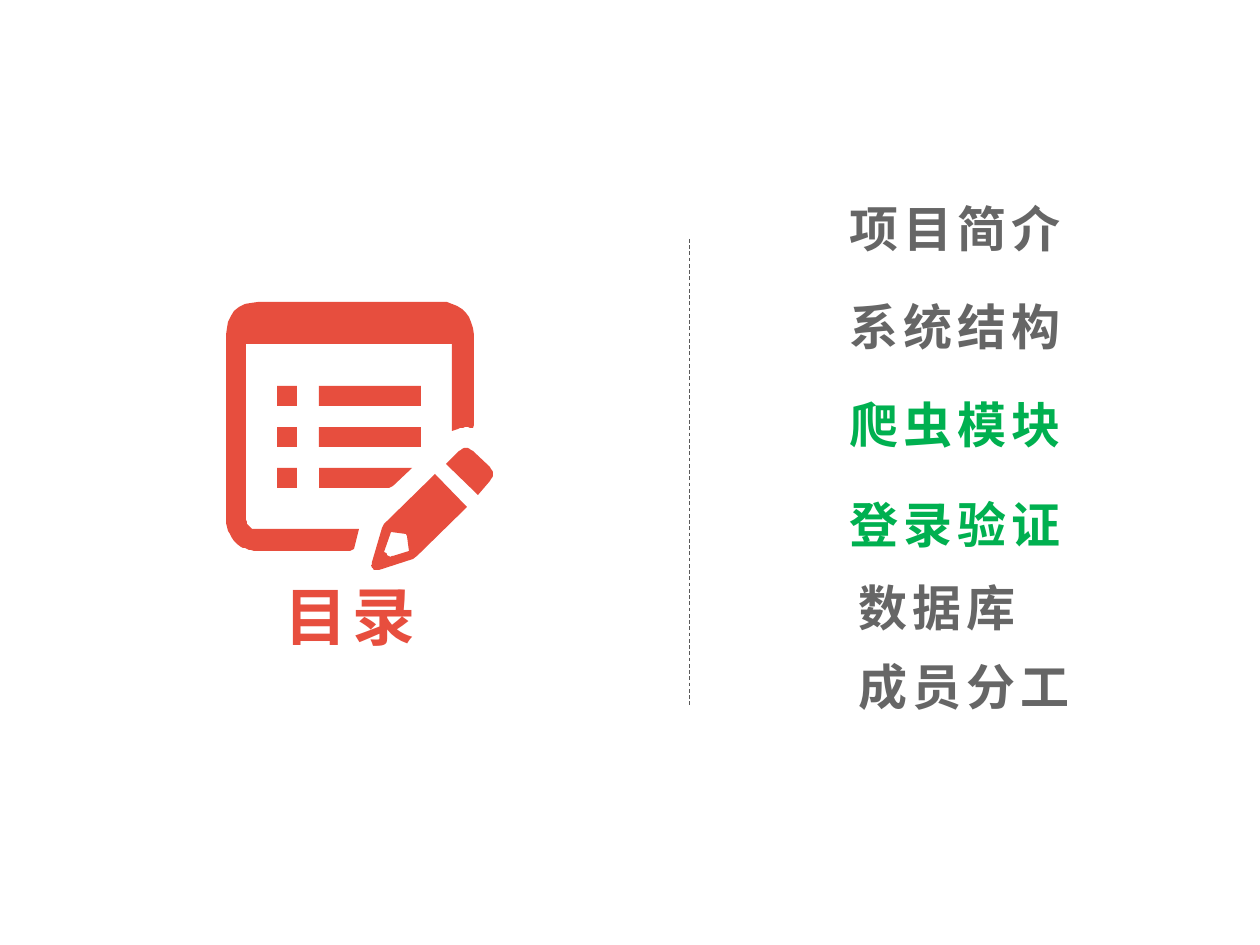
"""Build the table-of-contents slide with a notepad icon and six topics."""
from lxml.etree import SubElement
from pptx import Presentation
from pptx.dml.color import RGBColor
from pptx.enum.dml import MSO_LINE
from pptx.enum.shapes import MSO_CONNECTOR, MSO_SHAPE
from pptx.enum.text import MSO_AUTO_SIZE, PP_ALIGN
from pptx.oxml.ns import qn
from pptx.util import Pt

PX = 914400 / 126
FONT = "Noto Sans CJK SC"
RED = RGBColor(0xE7, 0x4E, 0x3E)
GRAY = RGBColor(0x66, 0x66, 0x66)
GREEN = RGBColor(0x00, 0xB0, 0x50)
DARK = RGBColor(0x59, 0x59, 0x59)
CURVE_STEPS = 8


def emu(*lengths):
    return [round(length * PX) for length in lengths]


def flatten(contour):
    """Turn points (x, y) and cubic curves (x1, y1, x2, y2, x, y) into points."""
    points = []
    for step in contour:
        if len(step) == 2:
            points.append(step)
            continue
        x0, y0 = points[-1]
        x1, y1, x2, y2, x3, y3 = step
        for index in range(1, CURVE_STEPS + 1):
            t = index / CURVE_STEPS
            a, b, c, d = (1 - t) ** 3, 3 * t * (1 - t) ** 2, 3 * t * t * (1 - t), t ** 3
            points.append((a * x0 + b * x1 + c * x2 + d * x3,
                           a * y0 + b * y1 + c * y2 + d * y3))
    return points


deck = Presentation()
deck.slide_width, deck.slide_height = emu(1260, 945)
page = deck.slides.add_slide(deck.slide_layouts[6])

divider = page.shapes.add_connector(MSO_CONNECTOR.STRAIGHT, *emu(689, 239, 689, 705))
divider.line.color.rgb = DARK
divider.line.width = Pt(0.5)
divider.line.dash_style = MSO_LINE.DASH
SubElement(divider._element.spPr, qn("a:effectLst"))

frame = [(359, 529), (354, 549), (350, 551), (258, 551),
         (252, 551, 246, 549, 241, 547), (231, 540, 226, 530, 226, 519),
         (226, 335), (226, 316, 238, 302, 258, 302), (441, 302),
         (457, 302, 470, 312, 473, 328), (474, 335), (474, 425), (473, 428),
         (466, 427, 460, 427, 452, 431), (452, 344), (246, 344), (246, 517),
         (246, 524, 249, 530, 258, 529)]
pencil = [(435, 474), (467, 507), (417, 556), (413, 559), (379, 570),
          (377, 570, 374, 571, 373, 568), (370, 567, 372, 564, 372, 562),
          (382, 528), (384, 524)]
pencil_tip = [(391, 532), (384, 552), (386, 553), (388, 557, 389, 557, 393, 556),
              (409, 551), (407, 536), (406, 534)]
cut_bar = [(319, 468), (412, 468), (393, 486), (389, 488), (319, 488)]
eraser = [(446, 464), (459, 451), (463, 447, 469, 447, 473, 451), (490, 467),
          (494, 471, 494, 477, 490, 481), (478, 495)]

icon = page.shapes.add_group_shape()
parts = []
for contours in ([frame], [pencil, pencil_tip], [cut_bar], [eraser]):
    builder = None
    for contour in contours:
        start, *rest = flatten(contour)
        if builder is None:
            builder = icon.shapes.build_freeform(*start, scale=PX)
        else:
            builder.move_to(*start)
        builder.add_line_segments(rest, close=True)
    parts.append(builder.convert_to_shape())

for left, top, width in [(277, 386, 20), (277, 427, 20), (277, 468, 20),
                         (319, 386, 102), (319, 427, 102)]:
    parts.append(icon.shapes.add_shape(MSO_SHAPE.RECTANGLE, *emu(left, top, width, 20)))

for part in parts:
    part.shadow.inherit = False
    part.fill.solid()
    part.fill.fore_color.rgb = RED
    part.line.fill.background()

for text, left, top, width, height, size, color, align in [
    ("项目简介", 837, 192, 247, 72, 28, GRAY, PP_ALIGN.LEFT),
    ("系统结构", 837, 290, 247, 72, 28, GRAY, PP_ALIGN.LEFT),
    ("爬虫模块", 837, 388, 247, 72, 28, GREEN, PP_ALIGN.LEFT),
    ("登录验证", 837, 488, 247, 72, 28, GREEN, PP_ALIGN.LEFT),
    ("数据库", 846, 571, 247, 72, 28, GRAY, PP_ALIGN.LEFT),
    ("成员分工", 846, 650, 247, 72, 28, GRAY, PP_ALIGN.LEFT),
    ("目录", 176, 571, 348, 89, 36, RED, PP_ALIGN.CENTER),
]:
    box = page.shapes.add_textbox(*emu(left, top, width, height))
    box.text_frame.word_wrap = True
    box.text_frame.auto_size = MSO_AUTO_SIZE.SHAPE_TO_FIT_TEXT
    para = box.text_frame.paragraphs[0]
    para.alignment = align
    span = para.add_run()
    span.text = text
    span.font.size = Pt(size)
    span.font.bold = True
    span.font.name = FONT
    span.font.color.rgb = color
    properties = span._r.get_or_add_rPr()
    properties.set("spc", "300")
    SubElement(properties, qn("a:ea")).set("typeface", FONT)

deck.save("out.pptx")
